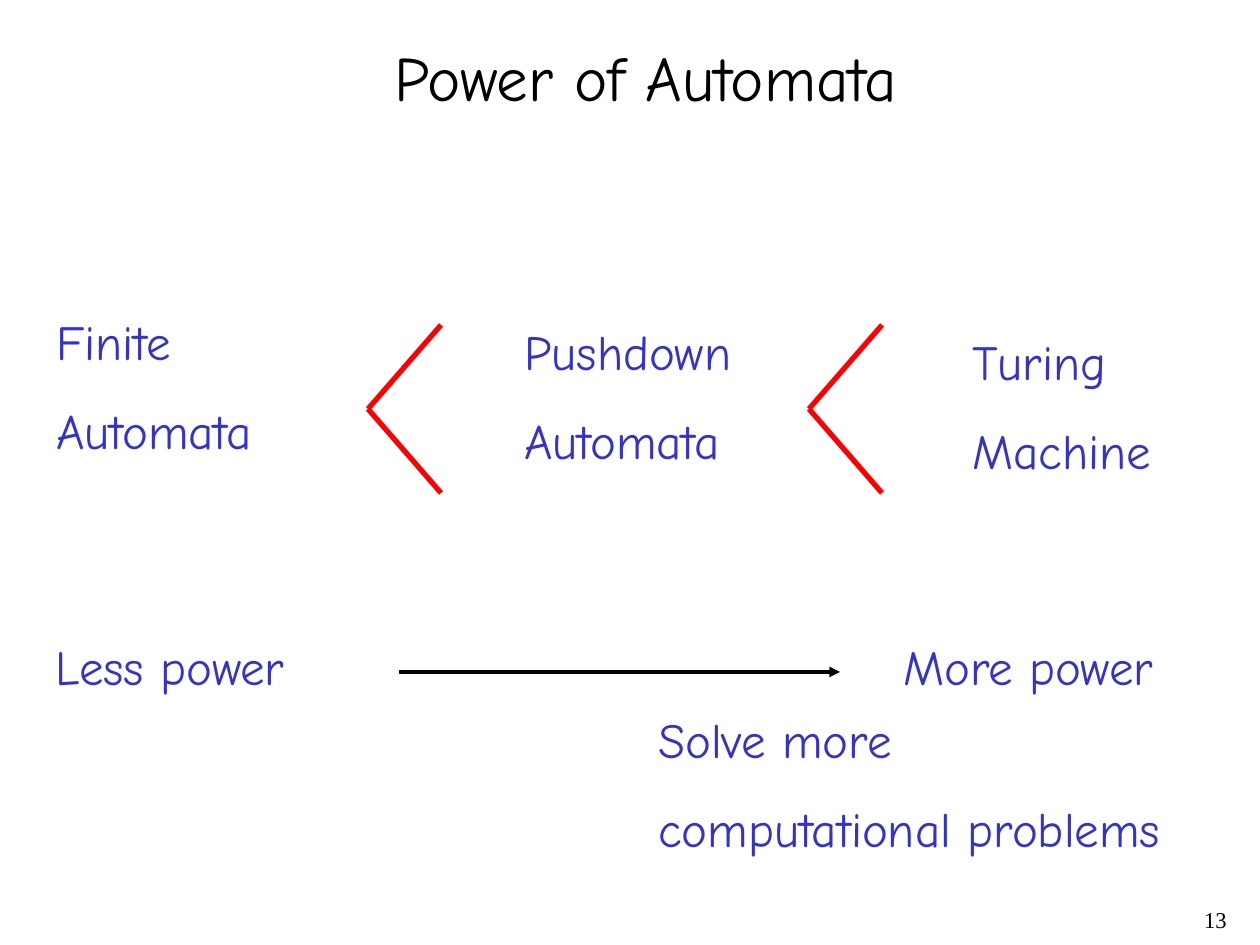
"""Build the slide that ranks automata by computing power."""
from dataclasses import dataclass

from lxml.etree import SubElement
from pptx import Presentation
from pptx.dml.color import RGBColor
from pptx.enum.shapes import MSO_CONNECTOR
from pptx.enum.text import MSO_ANCHOR, MSO_AUTO_SIZE, PP_ALIGN
from pptx.oxml.ns import qn
from pptx.util import Emu, Pt


@dataclass(frozen=True)
class Theme:
    black: RGBColor = RGBColor(0x00, 0x00, 0x00)
    blue: RGBColor = RGBColor(0x33, 0x33, 0xCC)
    red: RGBColor = RGBColor(0xFF, 0x00, 0x00)
    font: str = "Comic Neue"
    number_font: str = "Times New Roman"
    title_size: float = 36
    body_size: float = 28
    number_size: float = 12.9
    chevron_width: float = 3
    arrow_width: float = 2


THEME = Theme()
PX_PER_INCH = 126
SLIDE_SIZE = (1260, 945)

TITLE = ("Power of Automata", (382, 32, 535, 88))
LABELS = [
    ("Finite\nAutomata", (44, 305, 223, 161)),
    ("Pushdown\nAutomata", (512, 315, 232, 161)),
    ("Turing\nMachine", (960, 325, 204, 161)),
    ("Less power", (43, 630, 256, 72)),
    ("More power", (891, 630, 277, 72)),
    ("Solve more\ncomputational problems", (646, 703, 529, 161)),
]
PAGE_NUMBER = ("13", (977, 903, 262, 42))
CHEVRON_TIPS = [(368, 409), (809, 409)]
CHEVRON_REACH = (73, 84)
POWER_ARROW = ((399, 672), (840, 672))


def px(length):
    return Emu(round(length * 914400 / PX_PER_INCH))


def write(box, text, font, size, color, space_before=0, align=PP_ALIGN.LEFT):
    frame = box.text_frame
    frame.text = text
    frame.word_wrap = False
    frame.auto_size = MSO_AUTO_SIZE.NONE
    frame.vertical_anchor = MSO_ANCHOR.TOP
    for para in frame.paragraphs:
        para.alignment = align
        para.space_before = Pt(space_before)
        for span in para.runs:
            span.font.name = font
            span.font.size = Pt(size)
            span.font.color.rgb = color


def add_title(page, text, place):
    title = page.shapes.title
    title.left, title.top, title.width, title.height = map(px, place)
    write(title, text, THEME.font, THEME.title_size, THEME.black)


def add_label(page, text, place):
    box = page.shapes.add_textbox(*map(px, place))
    write(box, text, THEME.font, THEME.body_size, THEME.blue, space_before=17.5)


def add_page_number(page, text, place):
    box = page.shapes.add_textbox(*map(px, place))
    write(box, text, THEME.number_font, THEME.number_size, THEME.black, align=PP_ALIGN.RIGHT)
    box.text_frame.word_wrap = True
    box.text_frame.paragraphs[0].line_spacing = 0.9


def add_line(page, start, end, color, width):
    line = page.shapes.add_connector(MSO_CONNECTOR.STRAIGHT, *map(px, start + end))
    line.line.color.rgb = color
    line.line.width = Pt(width)
    SubElement(line.element.spPr, qn("a:effectLst"))
    return line


def add_chevron(page, tip):
    reach_x, reach_y = CHEVRON_REACH
    for side in (-1, 1):
        end = (tip[0] + reach_x, tip[1] + side * reach_y)
        add_line(page, tip, end, THEME.red, THEME.chevron_width)


def main():
    deck = Presentation()
    deck.slide_width, deck.slide_height = map(px, SLIDE_SIZE)
    page = deck.slides.add_slide(deck.slide_layouts.get_by_name("Title Only"))

    add_title(page, *TITLE)
    for text, place in LABELS:
        add_label(page, text, place)
    for tip in CHEVRON_TIPS:
        add_chevron(page, tip)
    arrow = add_line(page, *POWER_ARROW, THEME.black, THEME.arrow_width)
    SubElement(arrow.line._get_or_add_ln(), qn("a:tailEnd"), type="triangle")
    add_page_number(page, *PAGE_NUMBER)

    deck.save("out.pptx")


if __name__ == "__main__":
    main()
